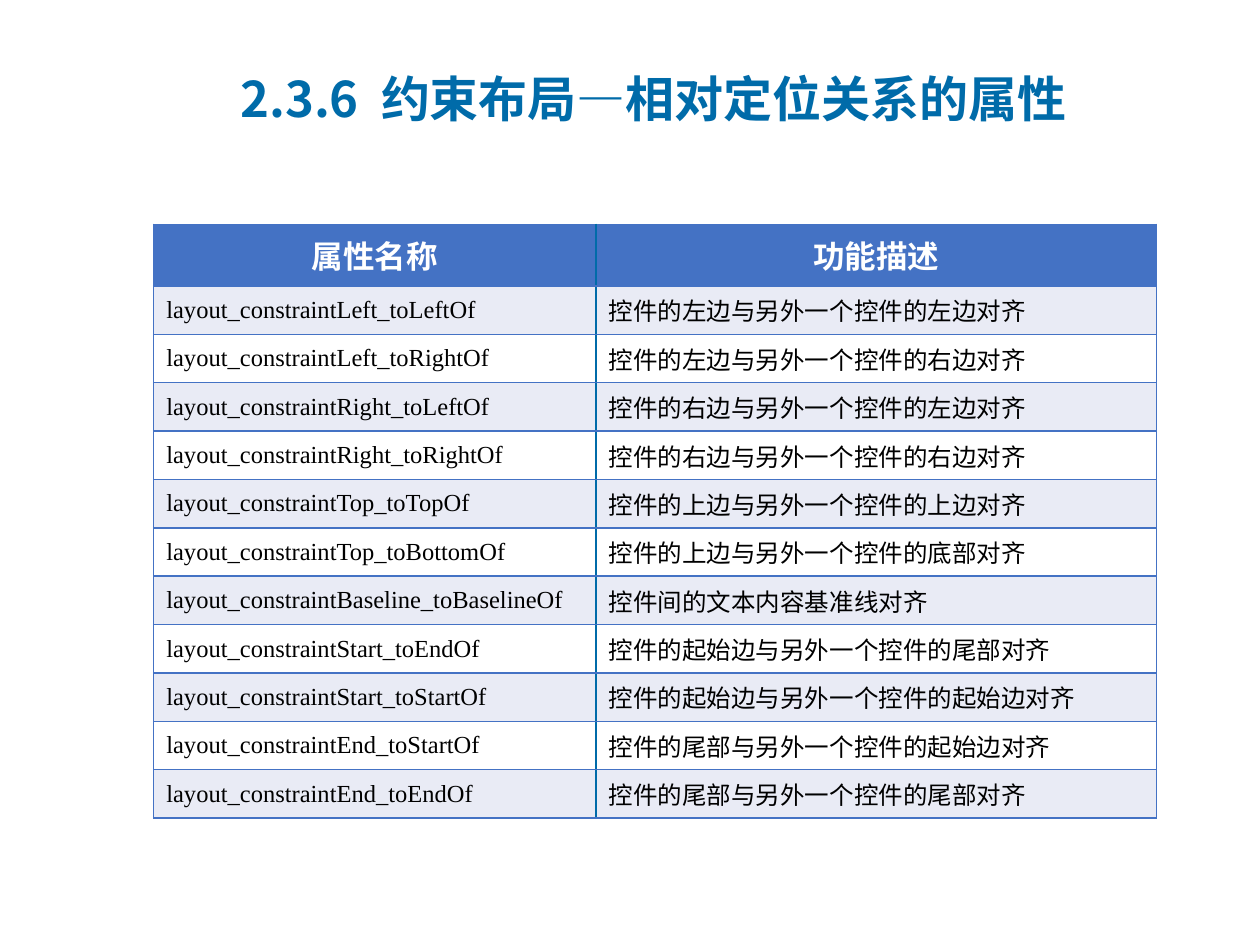
"""Build a slide with a table of relative positioning attributes of the constraint layout."""
import pptx
import pptx.dml.color
import pptx.enum.text
import pptx.oxml
import pptx.oxml.ns
import pptx.util

TITLE = "2.3.6  约束布局—相对定位关系的属性"
HEADINGS = ("属性名称", "功能描述")
ATTRIBUTES = [
    ("Left_toLeftOf", "控件的左边与另外一个控件的左边对齐"),
    ("Left_toRightOf", "控件的左边与另外一个控件的右边对齐"),
    ("Right_toLeftOf", "控件的右边与另外一个控件的左边对齐"),
    ("Right_toRightOf", "控件的右边与另外一个控件的右边对齐"),
    ("Top_toTopOf", "控件的上边与另外一个控件的上边对齐"),
    ("Top_toBottomOf", "控件的上边与另外一个控件的底部对齐"),
    ("Baseline_toBaselineOf", "控件间的文本内容基准线对齐"),
    ("Start_toEndOf", "控件的起始边与另外一个控件的尾部对齐"),
    ("Start_toStartOf", "控件的起始边与另外一个控件的起始边对齐"),
    ("End_toStartOf", "控件的尾部与另外一个控件的起始边对齐"),
    ("End_toEndOf", "控件的尾部与另外一个控件的尾部对齐"),
]
PREFIX = "layout_constraint"
CJK = "Noto Sans CJK SC"
BLUE, TEAL, WHITE, BLACK, BAND = "4472C4", "006BA9", "FFFFFF", "000000", "E9EBF5"
COLUMN_WIDTHS = (3.51, 4.45)
HEADING_HEIGHT, ROW_HEIGHT = 0.49, 0.33
SIDES = ("lnL", "lnR", "lnT", "lnB")
inch = pptx.util.Inches


def color(value):
    return pptx.dml.color.RGBColor.from_string(value)


def write(frame, text, size, font, fill, bold=False, align="LEFT"):
    frame.word_wrap = True
    paragraph = frame.paragraphs[0]
    paragraph.alignment = getattr(pptx.enum.text.PP_ALIGN, align)
    run = paragraph.add_run()
    run.text = text
    run.font.size = pptx.util.Pt(size)
    run.font.name = font
    run.font.bold = bold
    run.font.color.rgb = color(fill)
    east_asian = pptx.oxml.parse_xml(
        f'<a:ea {pptx.oxml.ns.nsdecls("a")} typeface="{CJK}"/>')
    run.font._element.find(pptx.oxml.ns.qn("a:latin")).addnext(east_asian)


def style_cell(cell, fill, borders):
    cell.vertical_anchor = pptx.enum.text.MSO_ANCHOR.MIDDLE
    cell.fill.solid()
    cell.fill.fore_color.rgb = color(fill)
    properties = cell._tc.get_or_add_tcPr()
    for position, (side, line) in enumerate(zip(SIDES, borders)):
        properties.insert(position, pptx.oxml.parse_xml(
            f'<a:{side} {pptx.oxml.ns.nsdecls("a")} w="12700">'
            f'<a:solidFill><a:srgbClr val="{line}"/></a:solidFill></a:{side}>'))


def add_title(slide):
    title = slide.shapes.add_textbox(inch(1.81), inch(0.47), inch(8.19), inch(0.61))
    title.text_frame.vertical_anchor = pptx.enum.text.MSO_ANCHOR.MIDDLE
    write(title.text_frame, TITLE, size=28, font=CJK, fill=TEAL, bold=True)
    properties = title.text_frame.paragraphs[0]._p.get_or_add_pPr()
    properties.set("marL", str(inch(0.62)))
    properties.set("indent", str(-inch(0.62)))


def add_attribute_table(slide):
    rows = [HEADINGS] + [(PREFIX + name, effect) for name, effect in ATTRIBUTES]
    height = HEADING_HEIGHT + ROW_HEIGHT * len(ATTRIBUTES)
    table = slide.shapes.add_table(
        len(rows), len(HEADINGS), inch(1.22), inch(1.78),
        inch(sum(COLUMN_WIDTHS)), inch(height)).table
    for column, width in zip(table.columns, COLUMN_WIDTHS):
        column.width = inch(width)
    for r, row in enumerate(rows):
        table.rows[r].height = inch(ROW_HEIGHT if r else HEADING_HEIGHT)
        for c, text in enumerate(row):
            cell = table.cell(r, c)
            borders = (TEAL if c else BLUE, BLUE if c else TEAL, BLUE, BLUE)
            if r == 0:
                style_cell(cell, BLUE, borders)
                write(cell.text_frame, text, size=18, font="Arial",
                      fill=WHITE, bold=True, align="CENTER")
            else:
                style_cell(cell, BAND if r % 2 else WHITE, borders)
                write(cell.text_frame, text, size=14, fill=BLACK,
                      font="Arial" if c else "Times New Roman")


def main():
    deck = pptx.Presentation()
    deck.slide_width, deck.slide_height = inch(10), inch(7.5)
    slide = deck.slides.add_slide(deck.slide_layouts[6])
    add_attribute_table(slide)
    add_title(slide)
    deck.save("out.pptx")


if __name__ == "__main__":
    main()
